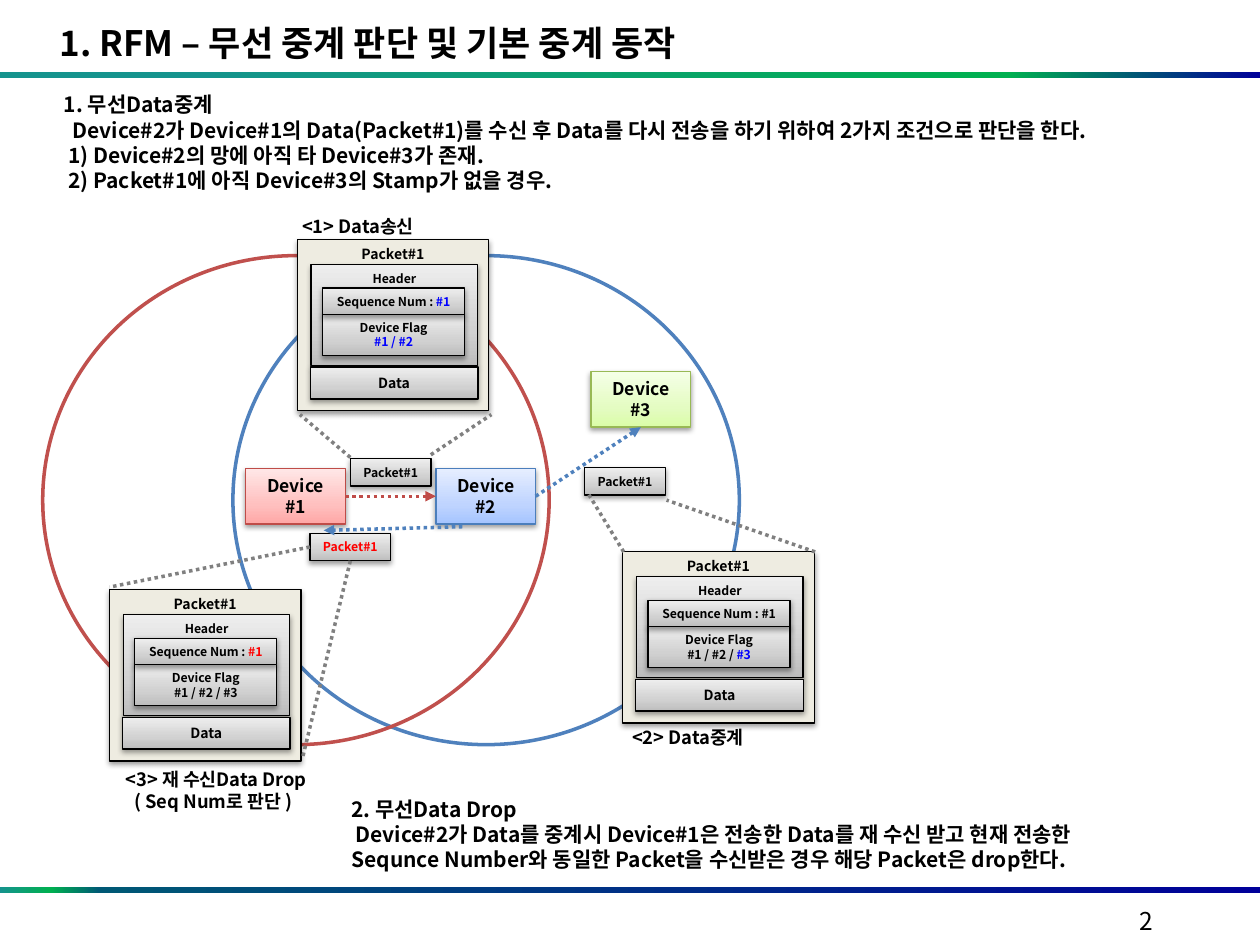
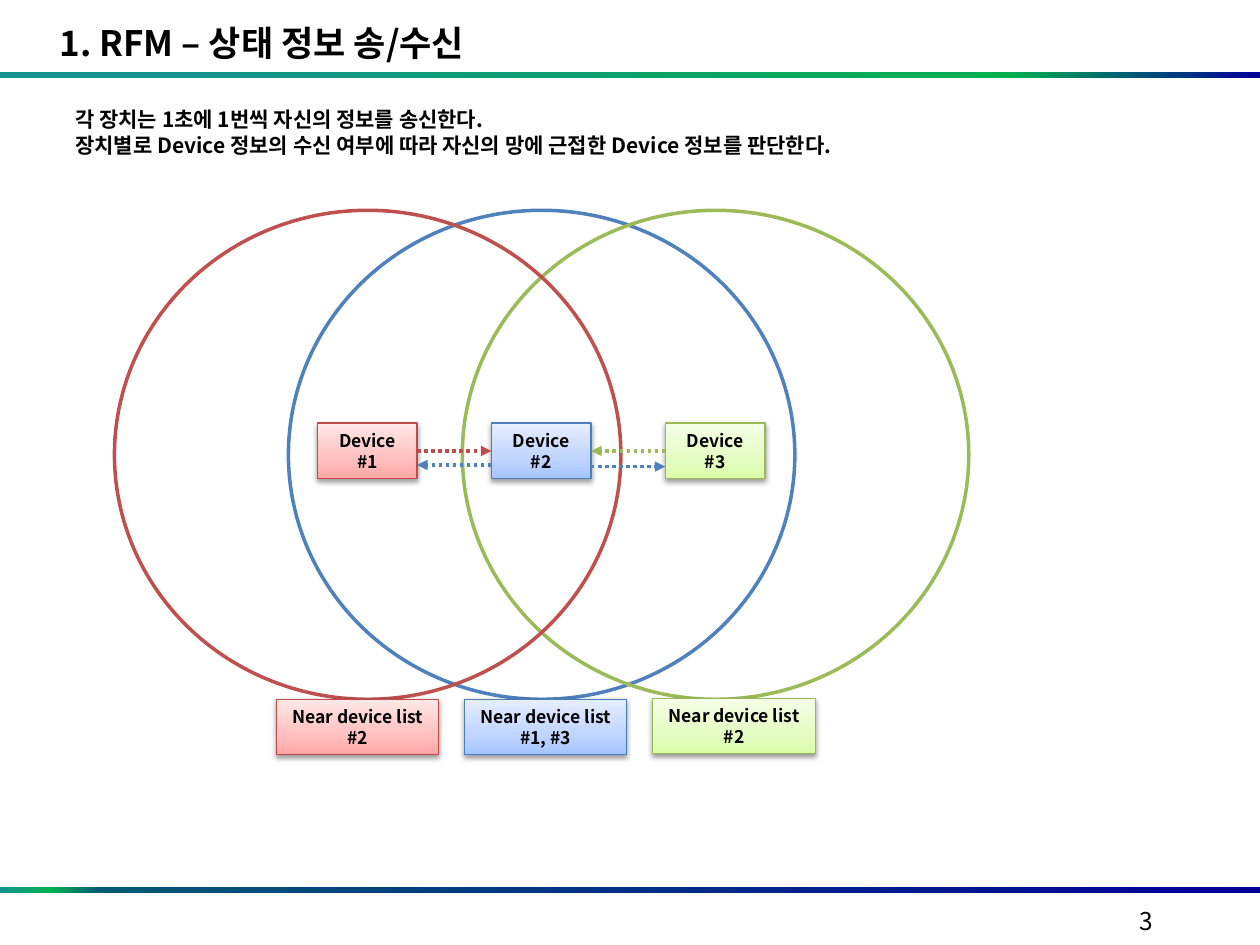
from lxml import etree
from pptx import Presentation
from pptx.dml.color import RGBColor
from pptx.enum import dml, shapes, text
from pptx.oxml.ns import qn
from pptx.util import Pt

FONT = "Noto Sans CJK KR"
COLORS = {
    "text": "000000", "mark": "0000FF", "alert": "FF0000", "guide": "808080",
    "red": "C0504D", "blue": "4F81BD", "green": "9BBB59", "red arrow": "BF4C48",
}
# Each look: gradient stops (position, colour), angle, outline
LOOKS = {
    "red": ([(0, "FFA6A5"), (35, "FFC0BF"), (100, "FFE7E7")], 90, "BF4C48"),
    "blue": ([(0, "A4C4FF"), (35, "BFD4FF"), (100, "E6EEFF")], 90, "4B7EBC"),
    "green": ([(0, "DAFDA7"), (35, "E4FCC2"), (100, "F5FFE7")], 90, "98B955"),
    "gray": ([(0, "BDBDBD"), (35, "D1D1D1"), (100, "EEEEEE")], 90, "000000"),
    "panel": ([(0, "EEECE1")], 0, "000000"),
    "top band": ([(0, "15938D"), (15, "15938D"), (80, "00B050"), (100, "000099")], 0, None),
    "bottom band": ([(0, "15938D"), (4, "00B050"), (8, "005875"), (100, "000099")], 0, None),
}
LEFT, CENTER, RIGHT = text.PP_ALIGN.LEFT, text.PP_ALIGN.CENTER, text.PP_ALIGN.RIGHT
TOP, MIDDLE = text.MSO_ANCHOR.TOP, text.MSO_ANCHOR.MIDDLE
RECTANGLE, OVAL = shapes.MSO_SHAPE.RECTANGLE, shapes.MSO_SHAPE.OVAL


def add_box(slide, frame, lines=(), size=12, look=None, align=LEFT, anchor=TOP, bold=True,
            accent="mark", indents=(), wrap=True, title=False):
    """Add a styled box or plain text; text after "|" takes the accent colour."""
    frame = [Pt(value) for value in frame]
    if title:
        shape = slide.shapes.title
        shape.left, shape.top, shape.width, shape.height = frame
    elif look:
        shape = slide.shapes.add_shape(RECTANGLE, *frame)
    else:
        shape = slide.shapes.add_textbox(*frame)

    if look:
        stops, angle, outline = LOOKS[look]
        shape.shadow.inherit = False
        if len(stops) == 1:
            shape.fill.solid()
            shape.fill.fore_color.rgb = RGBColor.from_string(stops[0][1])
        else:
            shape.fill.gradient()
            shape.fill.gradient_angle = angle
            stop_list = shape.element.spPr.find(".//" + qn("a:gsLst"))
            stop_list.clear()
            for position, color in stops:
                stop = etree.SubElement(stop_list, qn("a:gs"), pos=str(position * 1000))
                etree.SubElement(stop, qn("a:srgbClr"), val=color)
        if outline:
            shape.line.color.rgb = RGBColor.from_string(outline)
            shape.line.width = Pt(0.75)
            effects = shape.element.spPr.find(qn("a:effectLst"))
            shadow = etree.SubElement(effects, qn("a:outerShdw"), blurRad=str(Pt(3.1)),
                                      dist=str(Pt(1.6)), dir="5400000", rotWithShape="0")
            color = etree.SubElement(shadow, qn("a:srgbClr"), val="000000")
            etree.SubElement(color, qn("a:alpha"), val="38000")
        else:
            shape.line.fill.background()

    text_frame = shape.text_frame
    settings = {"word_wrap": wrap, "vertical_anchor": anchor, "auto_size": text.MSO_AUTO_SIZE.NONE}
    if title:
        settings |= dict.fromkeys(
            ["margin_left", "margin_top", "margin_right", "margin_bottom"], 0)
    for name, value in settings.items():
        setattr(text_frame, name, value)
    for index, line in enumerate(lines):
        paragraph = text_frame.paragraphs[0] if index == 0 else text_frame.add_paragraph()
        for name, value in {"alignment": align, "line_spacing": Pt(size * 1.2),
                            "space_before": Pt(0)}.items():
            setattr(paragraph, name, value)
        if index < len(indents):
            paragraph._p.get_or_add_pPr().set("indent", str(Pt(indents[index])))
        for part, color in zip(line.split("|"), ("text", accent)):
            if part:
                run = paragraph.add_run()
                run.text = part
                for name, value in {"name": FONT, "size": Pt(size), "bold": bold}.items():
                    setattr(run.font, name, value)
                run.font.color.rgb = RGBColor.from_string(COLORS[color])
                etree.SubElement(run._r.get_or_add_rPr(), qn("a:ea"), typeface=FONT)
    return shape


def add_dotted(slide, begin, end, color, arrow=True):
    """Draw a dotted line; each end is a point or a (shape, side) pair."""
    joined = [not isinstance(point[0], (int, float)) for point in (begin, end)]
    start, stop = [(0, 0) if join else point for join, point in zip(joined, (begin, end))]
    line = slide.shapes.add_connector(shapes.MSO_CONNECTOR.STRAIGHT,
                                      *[Pt(value) for value in (*start, *stop)])
    if joined[0]:
        line.begin_connect(*begin)
    if joined[1]:
        line.end_connect(*end)
    line.line.color.rgb = RGBColor.from_string(COLORS[color])
    line.line.width = Pt(2)
    line.line.dash_style = dml.MSO_LINE.ROUND_DOT
    if arrow:
        etree.SubElement(line.line._ln, qn("a:tailEnd"), type="triangle")
    etree.SubElement(line._element.spPr, qn("a:effectLst"))


presentation = Presentation()
presentation.slide_width, presentation.slide_height = Pt(720), Pt(540)

# Shared frame, devices and radio ranges: (number, look, left, top, has range)
pages = [
    (2, "1. RFM – 무선 중계 판단 및 기본 중계 동작", 402.5,
     [(2, "blue", 249.1, 267.7, True), (1, "red", 140.4, 267.7, True),
      (3, "green", 337.7, 212.3, False)]),
    (3, "1. RFM – 상태 정보 송/수신", 256.3,
     [(2, "blue", 280.8, 241.8, True), (3, "green", 380.2, 241.8, True),
      (1, "red", 181.4, 241.8, True)]),
]
slides, devices = [], []
for number, heading, width, placed in pages:
    slide = presentation.slides.add_slide(presentation.slide_layouts[5])
    add_box(slide, (0, 507, 720, 3.4), look="bottom band")
    add_box(slide, (0, 41.2, 720, 3.4), look="top band")
    add_box(slide, (34, 12.2, width, 24.5), [heading], 20, wrap=False, title=True)
    add_box(slide, (516.2, 514.1, 149.8, 36), [str(number)], 14, align=RIGHT, bold=False)
    found = {}
    for device, look, left, top, has_range in placed:
        label = ["Device", "#1"] if device == 1 else [f"Device #{device}"]
        found[device] = add_box(slide, (left, top, 57, 31.8), label, 10, look, CENTER, MIDDLE)
        if has_range:
            circle = slide.shapes.add_shape(
                OVAL, Pt(left - 116), Pt(top - 121.6), Pt(289.4), Pt(279.4))
            circle.shadow.inherit = False
            circle.fill.background()
            circle.line.color.rgb = RGBColor.from_string(COLORS[look])
            circle.line.width = Pt(2)
    slides.append(slide)
    devices.append(found)

# Relay slide: explanations and step captions
relay, status = slides
device = devices[0]
add_box(relay, (29.5, 49, 662.4, 65.4), [
    "1. 무선Data중계",
    "Device#2가 Device#1의 Data(Packet#1)를 수신 후 Data를 다시 전송을 하기 위하여 2가지 조건으로 판단을 한다.",
    "1) Device#2의 망에 아직 타 Device#3가 존재.",
    "2) Packet#1에 아직 Device#3의 Stamp가 없을 경우.",
], indents=(0, 5, 2.5, 2.5))
add_box(relay, (193.7, 451.4, 476.6, 51), [
    "2. 무선Data Drop",
    "Device#2가 Data를 중계시 Device#1은 전송한 Data를 재 수신 받고 현재 전송한 "
    "Sequnce Number와 동일한 Packet을 수신받은 경우 해당 Packet은 drop한다.",
], indents=(0, 2.5))
add_box(relay, (165.6, 119.5, 86.4, 20.5), ["<1> Data송신"], 10.5)
add_box(relay, (354.2, 411.3, 86.4, 20.5), ["<2> Data중계"], 10.5)
add_box(relay, (64.8, 435.6, 133.2, 32.4),
        ["<3> 재 수신Data Drop", "( Seq Num로 판단 )"], 10.5, indents=(0, 5))

# Packets in transit
sent, relayed, dropped = [
    add_box(relay, (left, top, 46.2, 15.8), [label], 7, "gray", CENTER, MIDDLE,
            accent="alert", wrap=False)
    for left, top, label in [(200.2, 262, "Packet#1"), (334.1, 267.1, "Packet#1"),
                             (177.1, 304.7, "|Packet#1")]
]

# Transmissions
add_dotted(relay, (device[1], 3), (device[2], 1), "red arrow")
add_dotted(relay, (device[2], 3), (device[3], 2), "blue")
add_dotted(relay, (264.2, 301), (185, 303.1), "blue")

# Packet contents
for left, top, sequence, flags, accent in [
    (169.9, 136.8, "Sequence Num : |#1", "|#1 / #2", "mark"),
    (355.9, 315.2, "Sequence Num : #1", "#1 / #2 / |#3", "mark"),
    (62.6, 336.9, "Sequence Num : |#1", "#1 / #2 / #3", "alert"),
]:
    for x, y, width, height, lines, size, look, anchor in [
        (0, 0, 109.4, 98, ["Packet#1"], 8, "panel", TOP),
        (7.9, 14.4, 95.2, 57.6, ["Header"], 7, "gray", TOP),
        (7.4, 73, 95.8, 18.2, ["Data"], 8, "gray", MIDDLE),
        (14.4, 42.6, 81.2, 23.6, ["Device Flag", flags], 7, "gray", MIDDLE),
        (14.4, 27.8, 81.2, 15.1, [sequence], 7, "gray", MIDDLE),
    ]:
        add_box(relay, (left + x, top + y, width, height), lines, size, look, CENTER, anchor,
                accent=accent)

# Guides from each packet to its contents
for begin, end in [
    ((200.2, 261.4), (171.4, 236.9)), ((246.2, 259.9), (280.8, 236.9)),
    ((356.4, 315.4), (336.2, 282.2)), ((465.8, 315.4), (380.9, 285.8)),
    ((dropped, 1), (62.6, 335.5)), ((dropped, 2), (172.8, 433.4)),
]:
    add_dotted(relay, begin, end, "guide", arrow=False)

# Status slide: explanation, exchanges and neighbour lists
device = devices[1]
add_box(status, (36, 57.6, 636.5, 36), [
    "각 장치는 1초에 1번씩 자신의 정보를 송신한다.",
    "장치별로 Device 정보의 수신 여부에 따라 자신의 망에 근접한 Device 정보를 판단한다.",
])
for left, top, look, neighbours in [
    (373, 399.1, "green", "#2"), (265.3, 399.6, "blue", "#1, #3"), (157.9, 399.6, "red", "#2"),
]:
    add_box(status, (left, top, 92.9, 31.7), ["Near device list", neighbours], 10, look,
            CENTER, MIDDLE)
for begin, end, color in [
    ((device[3], 1), (device[2], 3), "green"), ((device[1], 3), (device[2], 1), "red arrow"),
    ((280.8, 265.7), (238.3, 265.7), "blue"), ((337.7, 266.6), (380.2, 266.6), "blue"),
]:
    add_dotted(status, begin, end, color)

presentation.save("out.pptx")
